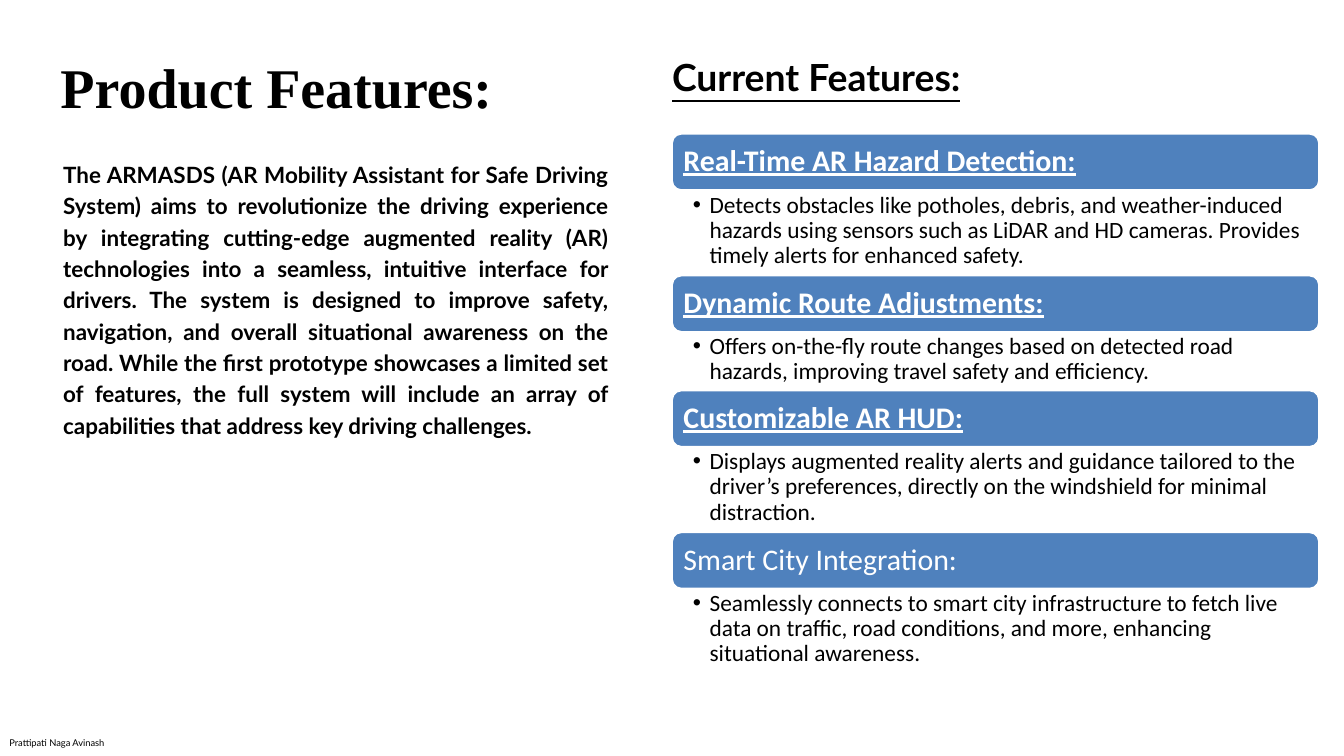
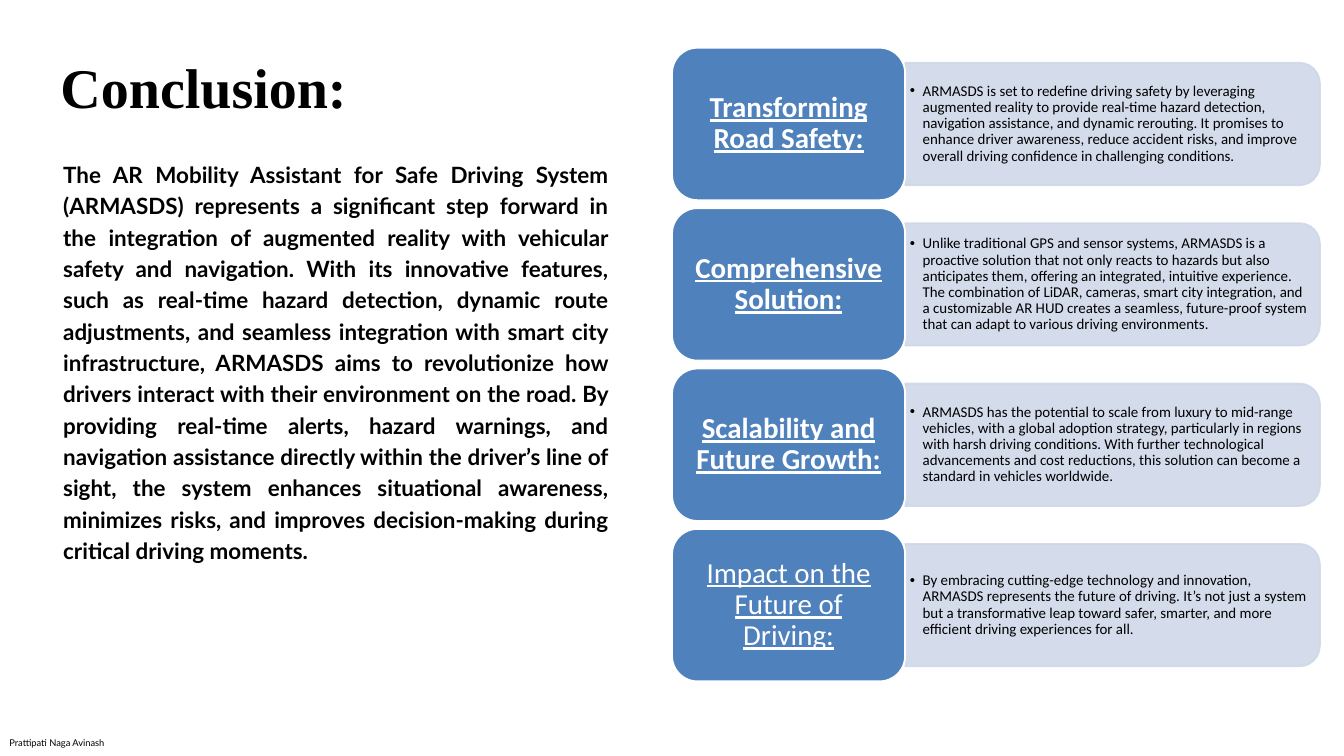
from lxml.etree import SubElement
from pptx import Presentation
from pptx.dml.color import RGBColor
from pptx.enum.shapes import MSO_SHAPE
from pptx.enum.text import MSO_ANCHOR, MSO_AUTO_SIZE, PP_ALIGN
from pptx.oxml.ns import qn
from pptx.util import Pt

PX = 9144
SLIDE_W, SLIDE_H = 2000, 1125
COLORS = {"paper": "FFFFFF", "ink": "000000", "accent": "4F81BD", "panel": "D0D8E8"}

AUTHOR = "Prattipati Naga Avinash"
STRONG = {"bold": True, "underline": True}
UNDERLINED = {"underline": True}
PLAIN = {}

FEATURES = {
    "title": "Product Features:",
    "summary": (
        "The ARMASDS (AR Mobility Assistant for Safe Driving System) aims to revolutionize "
        "the driving experience by integrating cutting-edge augmented reality (AR) technologies "
        "into a seamless, intuitive interface for drivers. The system is designed to improve "
        "safety, navigation, and overall situational awareness on the road. While the first "
        "prototype showcases a limited set of features, the full system will include an array "
        "of capabilities that address key driving challenges."),
    "summary_height": 426,
    "list_title": "Current Features:",
    "points": [
        ("Real-Time AR Hazard Detection:", STRONG, 127,
         "Detects obstacles like potholes, debris, and weather-induced hazards using sensors "
         "such as LiDAR and HD cameras. Provides timely alerts for enhanced safety."),
        ("Dynamic Route Adjustments:", STRONG, 87,
         "Offers on-the-fly route changes based on detected road hazards, improving travel "
         "safety and efficiency."),
        ("Customizable AR HUD:", STRONG, 127,
         "Displays augmented reality alerts and guidance tailored to the driver’s preferences, "
         "directly on the windshield for minimal distraction."),
        ("Smart City Integration:", PLAIN, 127,
         "Seamlessly connects to smart city infrastructure to fetch live data on traffic, road "
         "conditions, and more, enhancing situational awareness."),
    ],
}

CONCLUSION = {
    "title": "Conclusion:",
    "summary": (
        "The AR Mobility Assistant for Safe Driving System (ARMASDS) represents a significant "
        "step forward in the integration of augmented reality with vehicular safety and "
        "navigation. With its innovative features, such as real-time hazard detection, dynamic "
        "route adjustments, and seamless integration with smart city infrastructure, ARMASDS "
        "aims to revolutionize how drivers interact with their environment on the road. By "
        "providing real-time alerts, hazard warnings, and navigation assistance directly within "
        "the driver’s line of sight, the system enhances situational awareness, minimizes risks, "
        "and improves decision-making during critical driving moments."),
    "summary_height": 569,
    "points": [
        ("Transforming Road Safety:", STRONG,
         "ARMASDS is set to redefine driving safety by leveraging augmented reality to provide "
         "real-time hazard detection, navigation assistance, and dynamic rerouting. It promises "
         "to enhance driver awareness, reduce accident risks, and improve overall driving "
         "confidence in challenging conditions."),
        ("Comprehensive Solution:", STRONG,
         "Unlike traditional GPS and sensor systems, ARMASDS is a proactive solution that not "
         "only reacts to hazards but also anticipates them, offering an integrated, intuitive "
         "experience. The combination of LiDAR, cameras, smart city integration, and a "
         "customizable AR HUD creates a seamless, future-proof system that can adapt to various "
         "driving environments."),
        ("Scalability and Future Growth:", STRONG,
         "ARMASDS has the potential to scale from luxury to mid-range vehicles, with a global "
         "adoption strategy, particularly in regions with harsh driving conditions. With further "
         "technological advancements and cost reductions, this solution can become a standard "
         "in vehicles worldwide."),
        ("Impact on the Future of Driving:", UNDERLINED,
         "By embracing cutting-edge technology and innovation, ARMASDS represents the future of "
         "driving. It’s not just a system but a transformative leap toward safer, smarter, and "
         "more efficient driving experiences for all."),
    ],
}


def style(name, size, spacing, color="ink", align=PP_ALIGN.LEFT, margins=(0, 0, 0, 0),
          anchor=MSO_ANCHOR.TOP, fit=MSO_AUTO_SIZE.NONE, indent=0, **emphasis):
    left, top, right, bottom = (margin * PX for margin in margins)
    return {
        "font": {"name": name, "size": Pt(size), **emphasis},
        "paragraph": {"alignment": align, "line_spacing": spacing},
        "frame": {"margin_left": left, "margin_top": top, "margin_right": right,
                  "margin_bottom": bottom, "vertical_anchor": anchor,
                  "auto_size": fit, "word_wrap": True},
        "color": color,
        "indent": indent,
    }


GROW = MSO_AUTO_SIZE.SHAPE_TO_FIT_TEXT
MIDDLE = MSO_ANCHOR.MIDDLE
STYLES = {
    "author": style("Lato", 10, Pt(12), fit=GROW),
    "title": style("Times New Roman", 60, Pt(67.2), fit=GROW, bold=True),
    "list_title": style("Lato", 40, Pt(44.5), fit=GROW, **STRONG),
    "summary": style("Lato", 24, Pt(33.6), align=PP_ALIGN.JUSTIFY, fit=GROW, bold=True),
    "band": style("Calibri", 32, 0.9, "paper", margins=(13, 13, 13, 13), anchor=MIDDLE),
    "detail": style("Calibri", 25, 0.9, margins=(31, 4, 25, 4), indent=25),
    "card": style("Calibri", 31, 0.9, "paper", PP_ALIGN.CENTER, (13, 6, 13, 6), MIDDLE),
    "panel": style("Calibri", 16, 0.9, margins=(7, 3, 7, 3), anchor=MIDDLE, indent=19),
}


def rgb(color):
    return RGBColor.from_string(COLORS[color])


def apply(target, values):
    for attribute, value in values.items():
        setattr(target, attribute, value)


def write(shape, text, style_name, emphasis=PLAIN):
    look = STYLES[style_name]
    apply(shape.text_frame, look["frame"])
    paragraph = shape.text_frame.paragraphs[0]
    apply(paragraph, look["paragraph"])
    run = paragraph.add_run()
    run.text = text
    apply(run.font, {**look["font"], **emphasis})
    run.font.color.rgb = rgb(look["color"])
    if look["indent"]:
        paragraph.level = 1
        properties = paragraph._p.get_or_add_pPr()
        properties.set("marL", str(look["indent"] * PX))
        properties.set("indent", str(-look["indent"] * PX))
        SubElement(properties, qn("a:buFont"), typeface="Arial")
        SubElement(properties, qn("a:buChar"), char="•")


def add_text(slide, box, text, style_name):
    write(slide.shapes.add_textbox(*(round(n * PX) for n in box)), text, style_name)


def add_block(slide, kind, box, fill, line, opacity=100):
    block = slide.shapes.add_shape(kind, *(round(n * PX) for n in box))
    block.shadow.inherit = False
    block.fill.solid()
    block.fill.fore_color.rgb = rgb(fill)
    block.line.color.rgb = rgb(line)
    block.line.width = Pt(2)
    if opacity < 100:
        for color in block._element.spPr.iter(qn("a:srgbClr")):
            SubElement(color, qn("a:alpha"), val=str(opacity * 1000))
    return block


def add_page(deck, content):
    slide = deck.slides.add_slide(deck.slide_layouts[6])
    slide.background.fill.solid()
    slide.background.fill.fore_color.rgb = rgb("paper")
    add_text(slide, (14, 1097, 169, 17), AUTHOR, "author")
    add_text(slide, (90, 85, 791, 94), content["title"], "title")
    add_text(slide, (94, 233, 811, content["summary_height"]), content["summary"], "summary")
    return slide


def add_features(deck):
    slide = add_page(deck, FEATURES)
    left, width, band_height, top = 1000, 963, 84, 199
    add_text(slide, (left, 85, 765, 63), FEATURES["list_title"], "list_title")
    for heading, emphasis, detail_height, detail in FEATURES["points"]:
        band = add_block(slide, MSO_SHAPE.ROUNDED_RECTANGLE,
                         (left, top, width, band_height), "accent", "paper")
        write(band, heading, "band", emphasis)
        top += band_height
        add_text(slide, (left, top, width, detail_height), detail, "detail")
        top += detail_height


def add_conclusion(deck):
    slide = add_page(deck, CONCLUSION)
    left, first_top, last_top = 1000, 71, 787
    card_width, card_height = 347, 227
    panel_length, panel_depth = 617, 182
    text_width, text_height = 608, 164
    panel_left = left + card_width
    pitch = (last_top - first_top) / (len(CONCLUSION["points"]) - 1)
    for row, (heading, emphasis, detail) in enumerate(CONCLUSION["points"]):
        top = first_top + row * pitch
        middle = top + card_height / 2
        panel = add_block(slide, MSO_SHAPE.ROUND_2_SAME_RECTANGLE,
                          (panel_left + (panel_length - panel_depth) / 2,
                           middle - panel_length / 2, panel_depth, panel_length),
                          "panel", "panel", 90)
        panel.rotation = 90
        add_text(slide, (panel_left, middle - text_height / 2, text_width, text_height),
                 detail, "panel")
        card = add_block(slide, MSO_SHAPE.ROUNDED_RECTANGLE,
                         (left, top, card_width, card_height), "accent", "paper")
        write(card, heading, "card", emphasis)


def main():
    deck = Presentation()
    deck.slide_width, deck.slide_height = SLIDE_W * PX, SLIDE_H * PX
    add_features(deck)
    add_conclusion(deck)
    deck.save("out.pptx")


if __name__ == "__main__":
    main()
